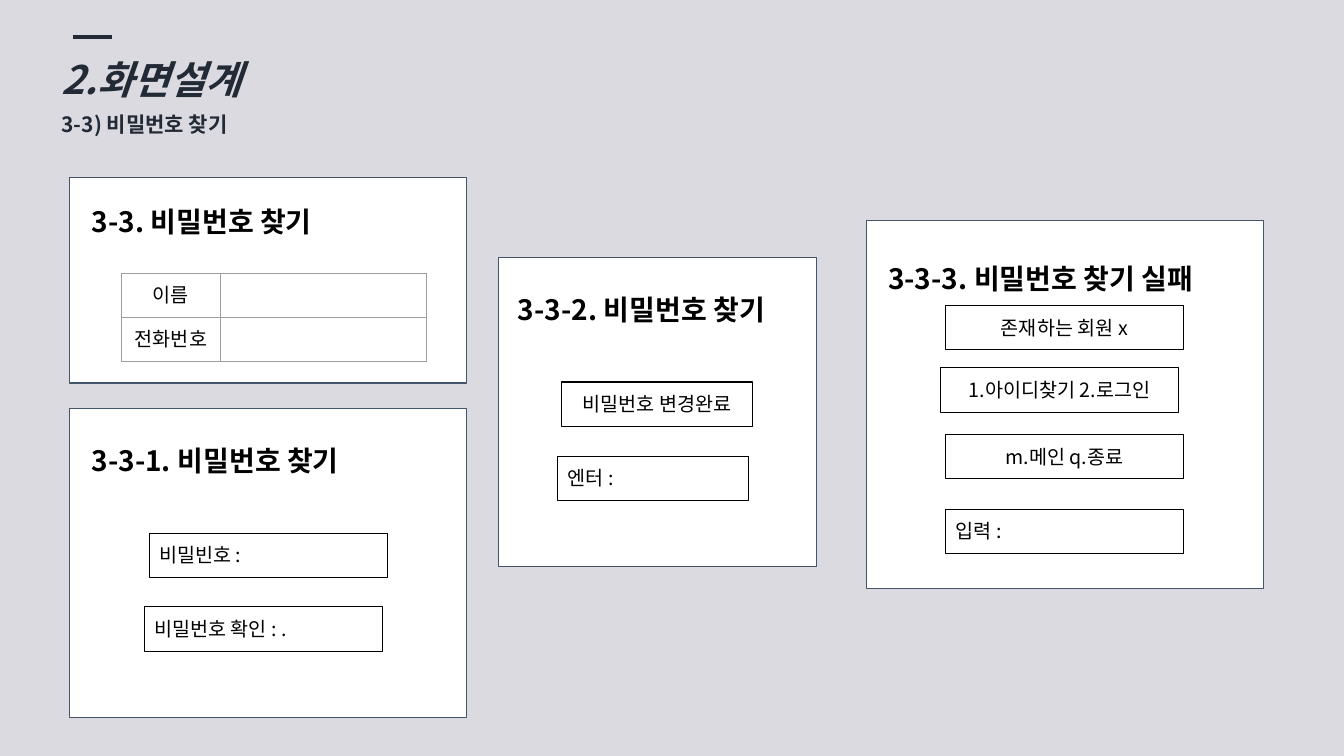
from dataclasses import dataclass

from lxml import etree
from pptx import Presentation
from pptx import util as u
from pptx.dml.color import RGBColor
from pptx.enum import shapes, text
from pptx.oxml.ns import qn


@dataclass(frozen=True)
class Theme:
    """Colours, fonts and sizes of the deck."""
    back: str = "DBDAE0"
    dark: str = "222A35"
    ink: str = "000000"
    card: str = "FFFFFF"
    edge: str = "44546A"
    grid: str = "9E9E9E"
    font: str = "Noto Sans CJK KR"
    cell: str = "Arial"
    title: int = 28
    sub: int = 15
    head: int = 20
    body: int = 14
    thin: float = 0.75
    thick: float = 3


T = Theme()
WIDE, HIGH = u.Inches(13.33), u.Inches(7.5)
PAGE = (0, 0, WIDE, HIGH)
ROW = int(HIGH * 0.0587)
HEAD = int(HIGH * 0.072)
LEFT, MID = text.PP_ALIGN.LEFT, text.PP_ALIGN.CENTER
GROW = text.MSO_AUTO_SIZE.SHAPE_TO_FIT_TEXT

CARDS = [
    dict(box=(5.18, 23.47, 29.56, 27.2), head="3-3. 비밀번호 찾기", span=69.8,
         rows=["이름", "전화번호"]),
    dict(box=(5.18, 54, 29.56, 40.93), head="3-3-1. 비밀번호 찾기", span=80,
         fields=[(20, 40.4, LEFT, "비밀빈호 :"),
                 (18.75, 64.2, LEFT, "비밀번호 확인 : .")]),
    dict(box=(37.06, 34, 23.71, 40.93), head="3-3-2. 비밀번호 찾기", span=95.9,
         fields=[(20, 40.4, MID, "비밀번호 변경완료"),
                 (18.75, 64.4, LEFT, "엔터 :")]),
    dict(box=(64.44, 29.2, 29.56, 48.67), head="3-3-3. 비밀번호 찾기 실패", span=93.4,
         fields=[(20, 23, MID, "존재하는 회원 x"),
                 (18.75, 40, MID, "1.아이디찾기 2.로그인"),
                 (20, 58.1, MID, "m.메인 q.종료"),
                 (20, 78.4, LEFT, "입력 :")]),
]


def part(box, x, y, w, h):
    """Return a box given in percent of another box."""
    left, top, wide, high = box
    return (int(left + wide * x / 100), int(top + high * y / 100),
            int(wide * w / 100), int(high * h / 100))


def style(item, **vals):
    """Set each named value on an object."""
    for key, val in vals.items():
        setattr(item, key, val)


def write(para, words, size, tint=T.ink, face=T.font, align=LEFT, **font):
    """Fill a paragraph with one formatted run."""
    para.alignment = align
    run = para.add_run()
    run.text = words
    style(run.font, name=face, size=u.Pt(size), **font)
    run.font.color.rgb = RGBColor.from_string(tint)
    etree.SubElement(run.font._element, qn("a:ea"), typeface=face)


def frame(shape, pad=0.1, **vals):
    """Set the insets and wrapping of a text frame."""
    body = shape.text_frame
    style(body, word_wrap=True, vertical_anchor=text.MSO_ANCHOR.TOP,
          margin_left=u.Inches(0.1), margin_right=u.Inches(0.1),
          margin_top=u.Inches(pad), margin_bottom=u.Inches(pad), **vals)
    return body


def block(host, box, line, fill=None):
    """Draw a plain outlined rectangle."""
    shape = host.add_shape(shapes.MSO_SHAPE.RECTANGLE, *box)
    shape.shadow.inherit = False
    if fill:
        shape.fill.solid()
        shape.fill.fore_color.rgb = RGBColor.from_string(fill)
    else:
        shape.fill.background()
    shape.line.color.rgb = RGBColor.from_string(line)
    shape.line.width = u.Pt(T.thin)
    return shape


def banner(slide, box):
    """Place the accent rule, the title and its subtitle."""
    title = slide.shapes.title
    spot = part(box, 3.83, 4.53, 32.26, 15.2)
    style(title, **dict(zip(("left", "top", "width", "height"), spot)))
    body = frame(title, 0.05, auto_size=text.MSO_AUTO_SIZE.TEXT_TO_FIT_SHAPE)
    lines = [("2.화면설계", T.title, True), ("3-3) 비밀번호 찾기", T.sub, False)]
    for num, (words, size, slant) in enumerate(lines):
        para = body.add_paragraph() if num else body.paragraphs[0]
        style(para, line_spacing=1.5, space_before=u.Pt(0))
        write(para, words, size, T.dark, bold=True, italic=slant)
    x, y, w, _ = part(box, 5.4, 4.93, 2.93, 0)
    rule = slide.shapes.add_connector(shapes.MSO_CONNECTOR.STRAIGHT, x, y, x + w, y)
    rule.line.color.rgb = RGBColor.from_string(T.dark)
    rule.line.width = u.Pt(T.thick)
    etree.SubElement(rule._element.spPr, qn("a:effectLst"))


def border(cell):
    """Draw thin lines on all sides of a cell."""
    props = cell._tc.get_or_add_tcPr()
    for num, side in enumerate(("lnL", "lnR", "lnT", "lnB")):
        line = etree.Element(qn("a:" + side), w=str(u.Pt(T.thin)))
        fill = etree.SubElement(line, qn("a:solidFill"))
        etree.SubElement(fill, qn("a:srgbClr"), val=T.grid)
        props.insert(num, line)


def form(slide, box, names):
    """Place a table of labels with empty entry cells."""
    x, y, w, _ = part(box, 12.94, 46.57, 76.91, 0)
    table = slide.shapes.add_table(len(names), 3, x, y, w, ROW * len(names)).table
    style(table, first_row=False, horz_banding=False)
    for col, share in zip(table.columns, (25.13, 13.71, 38.07)):
        col.width = int(box[2] * share / 100)
    for num, name in enumerate(names):
        table.rows[num].height = ROW
        for cell in table.rows[num].cells:
            pad = u.Inches(0.1)
            style(cell, vertical_anchor=text.MSO_ANCHOR.MIDDLE, margin_left=pad,
                  margin_right=pad, margin_top=pad, margin_bottom=pad)
            cell.fill.background()
            border(cell)
            para = cell.text_frame.paragraphs[0]
            etree.SubElement(para._p, qn("a:endParaRPr"), sz=str(T.body * 100))
        write(table.cell(num, 0).text_frame.paragraphs[0], name, T.body,
              face=T.cell, align=MID)
        table.cell(num, 1).merge(table.cell(num, 2))


def field(slide, box, x, y, align, words):
    """Place one outlined field inside a card."""
    left, top, wide, _ = part(box, x, y, 59.9, 0)
    shape = block(slide.shapes, (left, top, wide, ROW), T.ink)
    body = frame(shape, auto_size=GROW)
    write(body.paragraphs[0], words, T.body, align=align)


def card(slide, box, head, span, rows=(), fields=()):
    """Place a screen card with its heading and contents."""
    group = slide.shapes.add_group_shape().shapes
    block(group, box, T.edge, T.card)
    left, top, wide, _ = part(box, 3.05, 8.3, span, 0)
    label = group.add_textbox(left, top, wide, HEAD)
    body = frame(label, auto_size=GROW)
    write(body.paragraphs[0], head, T.head, bold=True)
    if rows:
        form(slide, box, rows)
    for item in fields:
        field(slide, box, *item)


def main():
    """Build and save the slide."""
    deck = Presentation()
    style(deck, slide_width=WIDE, slide_height=HIGH)
    slide = deck.slides.add_slide(deck.slide_layouts[5])
    slide.background.fill.solid()
    slide.background.fill.fore_color.rgb = RGBColor.from_string(T.back)
    banner(slide, PAGE)
    for data in CARDS:
        card(slide, **{**data, "box": part(PAGE, *data["box"])})
    deck.save("out.pptx")


if __name__ == "__main__":
    main()
